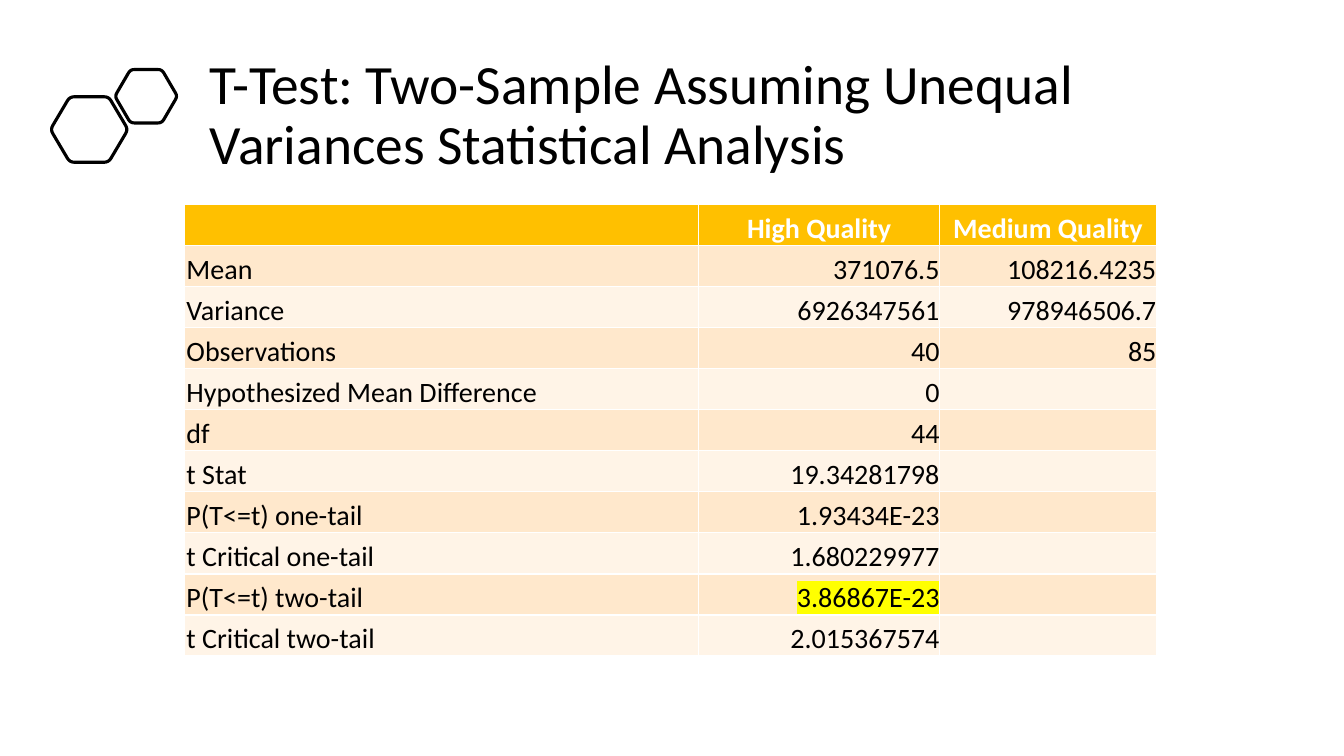
import pptx
import pptx.dml.color
import pptx.enum.text
import pptx.util
from lxml import etree

Inches = pptx.util.Inches
Pt = pptx.util.Pt
Align = pptx.enum.text.PP_ALIGN
Anchor = pptx.enum.text.MSO_ANCHOR

FONT = "Calibri"
BLACK, WHITE, YELLOW = "000000", "FFFFFF", "FFFF00"
HEADER_FILL = "FFC000"
BAND_FILLS = ("FFE8CC", "FFF4E7")
DRAWING = "{http://schemas.openxmlformats.org/drawingml/2006/main}"

COLUMN_WIDTHS = (5.1, 2.39, 2.15)
ROWS = (
    ("", "High Quality", "Medium Quality"),
    ("Mean", "371076.5", "108216.4235"),
    ("Variance", "6926347561", "978946506.7"),
    ("Observations", "40", "85"),
    ("Hypothesized Mean Difference", "0", ""),
    ("df", "44", ""),
    ("t Stat", "19.34281798", ""),
    ("P(T<=t) one-tail", "1.93434E-23", ""),
    ("t Critical one-tail", "1.680229977", ""),
    ("P(T<=t) two-tail", "3.86867E-23", ""),
    ("t Critical two-tail", "2.015367574", ""),
)
HIGHLIGHTED = (9, 1)


def color(value):
    return pptx.dml.color.RGBColor.from_string(value)


def format_paragraph(paragraph, size, font_color, alignment, bold=False):
    paragraph.alignment = alignment
    font = paragraph.font
    font.name, font.size, font.bold = FONT, Pt(size), bold
    font.color.rgb = color(font_color)


def highlight(run, value):
    mark = etree.SubElement(run.font._element, DRAWING + "highlight")
    etree.SubElement(mark, DRAWING + "srgbClr", val=value)


def add_title(slide, left, top, width, height):
    title = slide.shapes.title
    title.left, title.top = Inches(left), Inches(top)
    title.width, title.height = Inches(width), Inches(height)
    frame = title.text_frame
    frame.text = "T-Test: Two-Sample Assuming Unequal Variances Statistical Analysis"
    frame.vertical_anchor = Anchor.MIDDLE
    frame.word_wrap = True
    frame.auto_size = pptx.enum.text.MSO_AUTO_SIZE.NONE
    paragraph = frame.paragraphs[0]
    format_paragraph(paragraph, 39.6, BLACK, Align.LEFT)
    paragraph.line_spacing = 0.9


def rounded_outline(corners, cut=0.12, steps=4):
    """Replace each corner with points on a curve that starts and ends at a share of its sides."""
    points = []
    for index, corner in enumerate(corners):
        before = corners[index - 1]
        after = corners[(index + 1) % len(corners)]
        for step in range(steps + 1):
            share = step / steps
            back, ahead = cut * (1 - share) ** 2, cut * share ** 2
            points.append(tuple(
                c + back * (b - c) + ahead * (a - c)
                for b, c, a in zip(before, corner, after)))
    return points


def add_hexagon(shapes, left, top, width, height):
    corners = [(left + x * width, top + y * height) for x, y in
               ((0, .5), (.25, 0), (.75, 0), (1, .5), (.75, 1), (.25, 1))]
    points = [(Inches(x), Inches(y)) for x, y in rounded_outline(corners)]
    builder = shapes.build_freeform(*points[0])
    builder.add_line_segments(points[1:], close=True)
    shape = builder.convert_to_shape()
    shape.shadow.inherit = False
    shape.fill.background()
    shape.line.color.rgb = color(BLACK)
    shape.line.width = Pt(2.25)


def add_hexagon_pair(slide, left, top):
    shapes = slide.shapes.add_group_shape().shapes
    add_hexagon(shapes, left, top + 0.27, 0.77, 0.65)
    add_hexagon(shapes, left + 0.64, top, 0.62, 0.53)


def fill_cell(cell, text, row, column):
    is_header = row == 0
    cell.fill.solid()
    cell.fill.fore_color.rgb = color(HEADER_FILL if is_header else BAND_FILLS[(row - 1) % 2])
    cell.vertical_anchor = Anchor.BOTTOM
    inset = Inches(0.02 if is_header or column == 0 else 0)
    cell.margin_left = cell.margin_right = cell.margin_top = inset
    cell.margin_bottom = 0
    paragraph = cell.text_frame.paragraphs[0]
    if text:
        run = paragraph.add_run()
        run.text = text
        if (row, column) == HIGHLIGHTED:
            highlight(run, YELLOW)
    alignment = Align.CENTER if is_header else Align.RIGHT if column else Align.LEFT
    format_paragraph(paragraph, 20, WHITE if is_header else BLACK, alignment, is_header)


def add_results_table(slide, left, top, width, height):
    table = slide.shapes.add_table(
        len(ROWS), len(COLUMN_WIDTHS),
        Inches(left), Inches(top), Inches(width), Inches(height)).table
    for column, column_width in zip(table.columns, COLUMN_WIDTHS):
        column.width = Inches(width * column_width / sum(COLUMN_WIDTHS))
    for row, texts in enumerate(ROWS):
        for column, text in enumerate(texts):
            fill_cell(table.cell(row, column), text, row, column)


def main():
    presentation = pptx.Presentation()
    presentation.slide_width = Inches(13.33)
    presentation.slide_height = Inches(7.5)
    slide = presentation.slides.add_slide(presentation.slide_layouts.get_by_name("Title Only"))
    add_title(slide, 1.98, 0.57, 10.81, 1.17)
    add_hexagon_pair(slide, 0.5, 0.69)
    add_results_table(slide, 1.83, 2.03, 9.64, 4.48)
    presentation.save("out.pptx")


if __name__ == "__main__":
    main()
